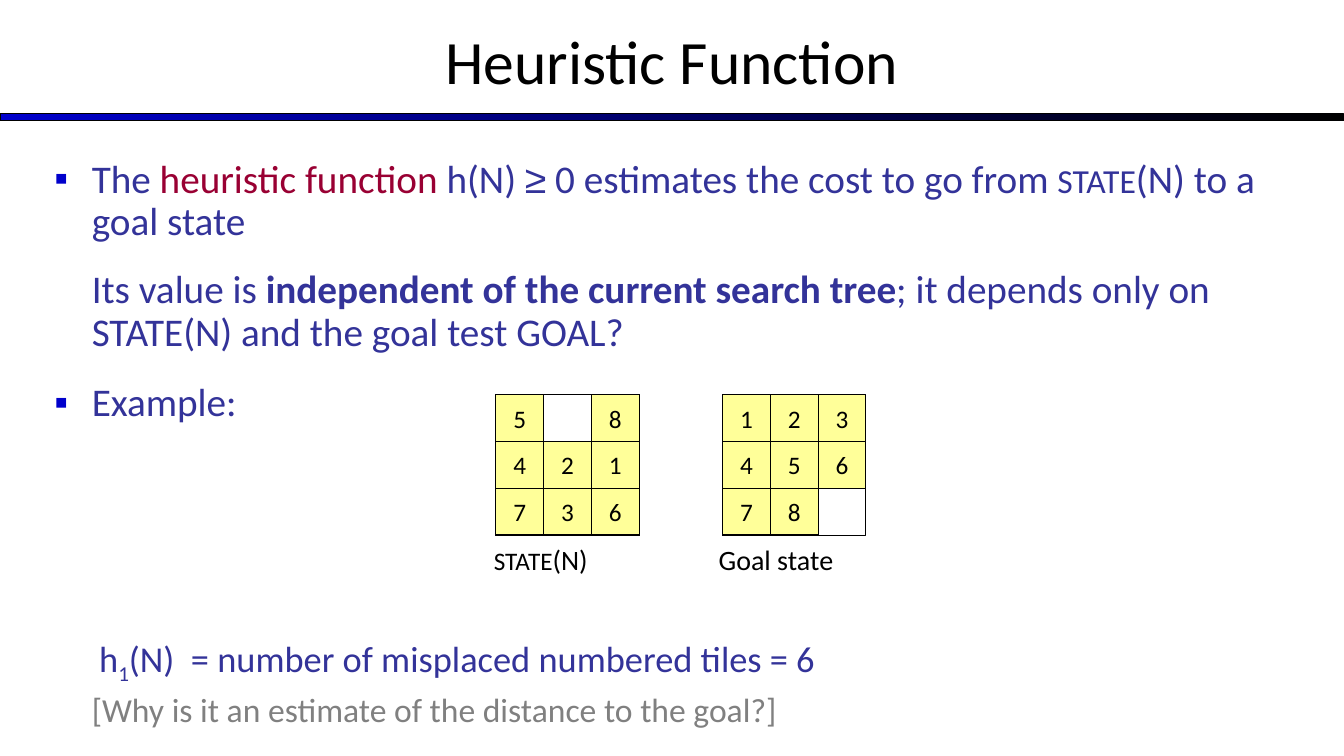
import pptx
import pptx.util
import pptx.dml.color
import pptx.enum.shapes
import pptx.enum.text
import lxml.etree
from dataclasses import dataclass

Pt = pptx.util.Pt
RGB = pptx.dml.color.RGBColor.from_string
ALIGN = pptx.enum.text.PP_ALIGN
ANCHOR = pptx.enum.text.MSO_ANCHOR
RECTANGLE = pptx.enum.shapes.MSO_SHAPE.RECTANGLE
DRAWING_NS = "{http://schemas.openxmlformats.org/drawingml/2006/main}"


@dataclass(frozen=True)
class Theme:
    font: str = "Calibri"
    symbol_font: str = "Arial"
    ink: str = "000000"
    text: str = "333399"
    accent: str = "990033"
    muted: str = "808080"
    bullet: str = "0000CC"
    tile: str = "FFFF99"
    title_size: int = 44
    body_size: int = 28
    formula_size: int = 26
    small_size: int = 24
    label_size: int = 20
    tile_size: int = 18
    hanging: float = 26.64
    line_width: float = 0.75


class SlideBuilder:
    def __init__(self, slide, theme):
        self.slide, self.theme = slide, theme

    def style(self, font, size, color):
        font.name, font.size = self.theme.font, Pt(size)
        font.color.rgb = RGB(color)

    def place(self, shape, left, top, width, height):
        shape.left, shape.top = Pt(left), Pt(top)
        shape.width, shape.height = Pt(width), Pt(height)

    def title(self, text, *box):
        heading = self.slide.shapes.title
        self.place(heading, *box)
        heading.text_frame.vertical_anchor = ANCHOR.MIDDLE
        paragraph = heading.text_frame.paragraphs[0]
        paragraph.text = text
        paragraph.alignment = ALIGN.CENTER
        self.style(paragraph.font, self.theme.title_size, self.theme.ink)

    def body(self, *box):
        placeholder = self.slide.placeholders[1]
        self.place(placeholder, *box)
        frame = placeholder.text_frame
        frame.word_wrap = True
        frame.auto_size = pptx.enum.text.MSO_AUTO_SIZE.NONE
        frame.vertical_anchor = ANCHOR.TOP
        return frame

    def body_paragraph(self, paragraph, runs, before=0, bullet=False,
                       size=None, color=None, indent=None):
        """Each run is a text, or a pair of a text and its own formatting."""
        theme = self.theme
        props = paragraph._p.get_or_add_pPr()
        props.set("marL", str(Pt(indent or theme.hanging)))
        props.set("indent", str(-Pt(theme.hanging) if bullet else 0))
        if bullet:
            bullet_color = lxml.etree.SubElement(props, DRAWING_NS + "buClr")
            lxml.etree.SubElement(bullet_color, DRAWING_NS + "srgbClr", val=theme.bullet)
            lxml.etree.SubElement(props, DRAWING_NS + "buFont", typeface=theme.symbol_font)
            lxml.etree.SubElement(props, DRAWING_NS + "buChar", char="▪")
        else:
            lxml.etree.SubElement(props, DRAWING_NS + "buNone")
        paragraph.alignment = ALIGN.LEFT
        paragraph.line_spacing = 0.9
        paragraph.space_before = Pt(before)
        self.style(paragraph.font, size or theme.body_size, color or theme.text)
        self.add_runs(paragraph, runs)

    def add_runs(self, paragraph, runs):
        for item in runs:
            text, look = (item, {}) if isinstance(item, str) else item
            run = paragraph.add_run()
            run.text = text
            if "size" in look:
                run.font.size = Pt(look["size"])
            if "color" in look:
                run.font.color.rgb = RGB(look["color"])
            if "font" in look:
                run.font.name = look["font"]
            if "bold" in look:
                run.font.bold = look["bold"]
            if "baseline" in look:
                run._r.get_or_add_rPr().set("baseline", str(look["baseline"]))

    def rectangle(self, *box):
        shape = self.slide.shapes.add_shape(RECTANGLE, *map(Pt, box))
        shape.shadow.inherit = False
        shape.fill.background()
        shape.line.color.rgb = RGB(self.theme.ink)
        shape.line.width = Pt(self.theme.line_width)
        return shape

    def gradient_rule(self, *box):
        rule = self.rectangle(*box)
        rule.fill.gradient()
        rule.fill.gradient_angle = 0
        for stop, color in zip(rule.fill.gradient_stops, (self.theme.bullet, self.theme.ink)):
            stop.color.rgb = RGB(color)

    def tile(self, number, *box):
        tile = self.rectangle(*box)
        tile.fill.solid()
        tile.fill.fore_color.rgb = RGB(self.theme.tile)
        tile.text_frame.word_wrap = False
        tile.text_frame.vertical_anchor = ANCHOR.MIDDLE
        paragraph = tile.text_frame.paragraphs[0]
        paragraph.text = number
        paragraph.alignment = ALIGN.CENTER
        self.style(paragraph.font, self.theme.tile_size, self.theme.ink)

    def puzzle(self, rows, left, top, cell_width=34.1, cell_height=33.4):
        self.rectangle(left, top, 3 * cell_width, 3 * cell_height)
        for row, numbers in enumerate(rows):
            for column, number in enumerate(numbers):
                if number != " ":
                    self.tile(number, left + column * cell_width,
                              top + row * cell_height, cell_width, cell_height)

    def label(self, runs, *box):
        frame = self.slide.shapes.add_textbox(*map(Pt, box)).text_frame
        frame.word_wrap = False
        paragraph = frame.paragraphs[0]
        self.style(paragraph.font, self.theme.label_size, self.theme.ink)
        self.add_runs(paragraph, runs)


def main():
    deck = pptx.Presentation()
    deck.slide_width, deck.slide_height = Pt(960), Pt(540)
    theme = Theme()
    builder = SlideBuilder(deck.slides.add_slide(deck.slide_layouts[1]), theme)

    # Heading
    builder.gradient_rule(0, 81.2, 960, 5)
    builder.title("Heuristic Function", 0, -2, 960, 90)

    # Definition, example and question
    body = builder.body(31.7, 110.2, 895.7, 372.2)
    builder.body_paragraph(body.paragraphs[0], [
        "The ",
        ("heuristic function", {"color": theme.accent}),
        " h(N) ",
        ("≥", {"font": theme.symbol_font}),
        " 0 estimates the cost to go from ",
        ("STATE", {"size": theme.small_size}),
        "(N) to a goal state",
    ], bullet=True)
    builder.body_paragraph(body.add_paragraph(), [
        "Its value is ",
        ("independent of the current search tree", {"bold": True}),
        "; it depends only on STATE(N) and the goal test GOAL?",
    ], before=18.6)
    builder.body_paragraph(body.add_paragraph(), ["Example:"], before=20, bullet=True)
    builder.body_paragraph(body.add_paragraph(), [
        "h",
        ("1", {"baseline": -25000}),
        "(N)  = number of misplaced numbered tiles = 6",
    ], before=151, size=theme.formula_size, indent=31.9)
    builder.body_paragraph(
        body.add_paragraph(), ["[Why is it an estimate of the distance to the goal?]"],
        before=9, size=theme.small_size, color=theme.muted)

    # Puzzle boards with their captions
    state_caption = [("STATE", {"size": theme.tile_size}), "(N)"]
    boards = [
        (("5 8", "421", "736"), 354.2, state_caption, 345.6, 99.4),
        (("123", "456", "78 "), 516.2, ["Goal state"], 506.2, 116.6),
    ]
    for rows, left, caption, caption_left, caption_width in boards:
        builder.puzzle(rows, left, 282)
        builder.label(caption, caption_left, 383.8, caption_width, 31)

    deck.save("out.pptx")


if __name__ == "__main__":
    main()
